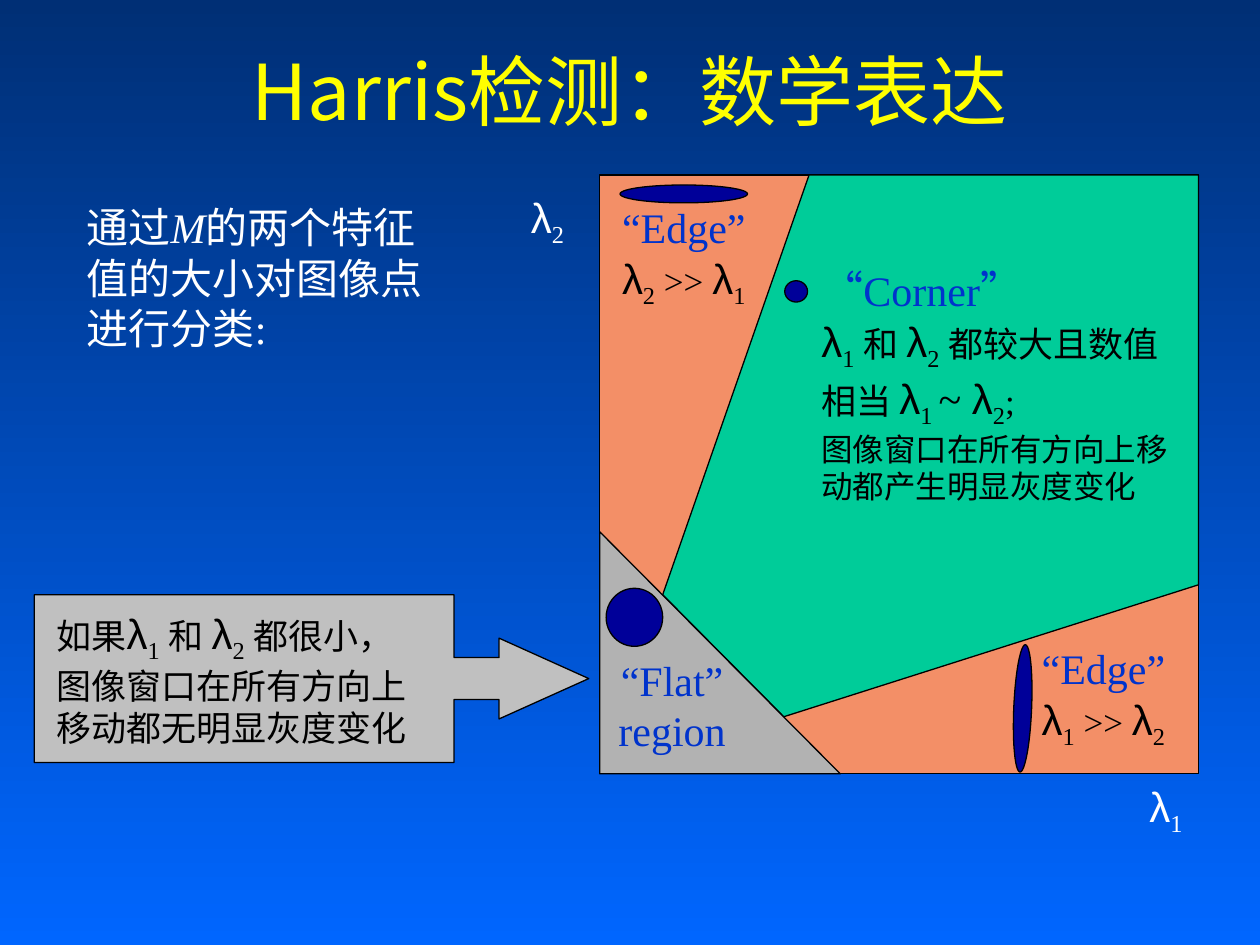
"""Build the slide on the Harris detector and its eigenvalue regions."""
from dataclasses import dataclass

from lxml import etree
from pptx import Presentation
from pptx.dml.color import RGBColor
from pptx.enum.shapes import MSO_SHAPE
from pptx.enum.text import MSO_ANCHOR, MSO_AUTO_SIZE, PP_ALIGN
from pptx.oxml.ns import qn
from pptx.util import Cm, Pt

RECT, OVAL = MSO_SHAPE.RECTANGLE, MSO_SHAPE.OVAL
TRIANGLE, CALLOUT = MSO_SHAPE.RIGHT_TRIANGLE, MSO_SHAPE.RIGHT_ARROW_CALLOUT
TOP, NO_FIT, GROW = MSO_ANCHOR.TOP, MSO_AUTO_SIZE.NONE, MSO_AUTO_SIZE.SHAPE_TO_FIT_TEXT
LEFT, CENTER = PP_ALIGN.LEFT, PP_ALIGN.CENTER


@dataclass(frozen=True)
class Theme:
    sky: tuple = ("002F75", "0066FF")
    yellow: str = "FFFF00"
    white: str = "FFFFFF"
    black: str = "000000"
    blue: str = "0033CC"
    navy: str = "000099"
    edge: str = "F38F67"
    corner: str = "00CC99"
    flat: str = "B2B2B2"
    callout: str = "C0C0C0"
    heading: str = "Noto Sans CJK SC"
    serif: str = "Times New Roman"
    sans: str = "Arial"
    title: int = 44
    large: int = 24
    medium: int = 20
    small: int = 18
    outline: float = 0.75


T = Theme()


def run(text, size=T.large, color=T.black, font=T.serif, **extra):
    return dict(text=text, size=size, color=color, font=font, **extra)


def eigenvalue(index, color=T.black):
    return [run("λ", color=color, font=T.sans), run(index, color=color, sub=True)]


def edge_label(big, small):
    return [run("“Edge” \n", color=T.blue), *eigenvalue(big),
            run(" >> ", T.medium), *eigenvalue(small)]


L1, L2 = eigenvalue("1"), eigenvalue("2")
BOTH = [*L1, run(" 和 ", T.medium), *L2]

TITLE = [run("Harris检测：数学表达", T.title, T.yellow, T.heading)]
TITLE_BOX = (1.27, 0.76, 22.86, 3.18)
PLOT = (12.09, 3.53, 12.07, 12.07)
CORNER_REGION = [(13.36, 11.99), (16.31, 3.53), (24.16, 3.53), (24.16, 11.79), (15.8, 14.45)]

REGIONS_BELOW = [
    (CALLOUT, (0.69, 11.99, 11.18, 3.38), T.callout, (0.25, 0.241, 0.535, 0.757)),
    (RECT, PLOT, T.edge, ()),
]
FLAT_REGION = (TRIANGLE, (12.09, 10.72, 4.85, 4.88), T.flat, ())

AXES = [
    ((22.45, 15.6, 2.11, 1.42), CENTER, 0, eigenvalue("1", T.white)),
    ((9.55, 3.73, 2.97, 1.42), CENTER, 0, eigenvalue("2", T.white)),
]
LABELS = [
    ((16.31, 5.21, 7.77, 5.11), LEFT, 0, [
        run("“Corner”\n", color=T.blue), *BOTH,
        run(" 都较大且数值相当 ", T.medium),
        run("λ", font=T.sans), run("1 ", sub=True), run("~ "), *L2,
        run(";\n", T.medium),
        run("图像窗口在所有方向上移动都产生明显灰度变化", T.small, font=T.sans)]),
    ((0.89, 12.12, 8, 3.96), LEFT, 0, [
        run("如果", T.medium), *BOTH,
        run(" 都很小，图像窗口在所有方向上移动都无明显灰度变化", T.medium)]),
    ((20.75, 12.83, 3.61, 2.44), LEFT, 0, edge_label("1", "2")),
    ((12.29, 3.94, 3.61, 2.44), LEFT, 0, edge_label("2", "1")),
    ((11.86, 13.06, 3.38, 2.29), CENTER, 0, [run("“Flat” region", color=T.blue)]),
    ((1.5, 3.94, 7.42, 3.3), LEFT, 15, [
        run("通过", color=T.white), run("M", color=T.white, italic=True),
        run("的两个特征值的大小对图像点进行分类:", color=T.white)]),
]
ELLIPSES = [
    ((15.82, 5.66, 0.46, 0.43), 0),
    ((12.5, 3.73, 2.57, 0.36), 0),
    ((12.22, 11.86, 1.14, 1.17), 0),
    ((19.33, 14.1, 2.57, 0.36), 92.4),
]


def lengths(box):
    return [Cm(v) for v in box]


def paint(sp, fill):
    sp.shadow.inherit = False
    sp.fill.solid()
    sp.fill.fore_color.rgb = RGBColor.from_string(fill)
    sp.line.color.rgb = RGBColor.from_string(T.black)
    sp.line.width = Pt(T.outline)


def add_shape(s, kind, box, fill, adjustments=(), rotation=0):
    sp = s.shapes.add_shape(kind, *lengths(box))
    for i, value in enumerate(adjustments):
        sp.adjustments[i] = value
    sp.rotation = rotation
    paint(sp, fill)


def add_region(s, points, fill):
    start, *rest = [lengths(point) for point in points]
    builder = s.shapes.build_freeform(*start)
    builder.add_line_segments(rest, close=True)
    paint(builder.convert_to_shape(), fill)


def write(p, runs):
    for item in runs:
        r = p.add_run()
        r.text = item["text"].rstrip("\n")
        r.font.size = Pt(item["size"])
        r.font.name = item["font"]
        r.font.color.rgb = RGBColor.from_string(item["color"])
        if item.get("italic"):
            r.font.italic = True
        rPr = r._r.get_or_add_rPr()
        if item.get("sub"):
            rPr.set("baseline", "-25000")
        if item["font"] == T.heading:
            etree.SubElement(rPr, qn("a:ea")).set("typeface", T.heading)
        if item["text"].endswith("\n"):
            p.add_line_break()


def add_text(s, box, align, before, runs):
    tf = s.shapes.add_textbox(*lengths(box)).text_frame
    tf.word_wrap = True
    tf.auto_size = GROW
    p = tf.paragraphs[0]
    p.alignment = align
    p.space_before = Pt(before)
    write(p, runs)


def add_title(s):
    sp = s.shapes.title
    sp.left, sp.top, sp.width, sp.height = lengths(TITLE_BOX)
    tf = sp.text_frame
    tf.vertical_anchor = TOP
    tf.auto_size = NO_FIT
    tf.paragraphs[0].alignment = CENTER
    write(tf.paragraphs[0], TITLE)


def main():
    prs = Presentation()
    prs.slide_width, prs.slide_height = Cm(25.4), Cm(19.05)
    s = prs.slides.add_slide(prs.slide_layouts[5])
    sky = s.background.fill
    sky.gradient()
    sky.gradient_angle = 270
    for stop, color in zip(sky.gradient_stops, T.sky):
        stop.color.rgb = RGBColor.from_string(color)

    add_title(s)
    for region in REGIONS_BELOW:
        add_shape(s, *region)
    for axis in AXES:
        add_text(s, *axis)
    add_region(s, CORNER_REGION, T.corner)
    add_shape(s, *FLAT_REGION)
    for label in LABELS:
        add_text(s, *label)
    for box, rotation in ELLIPSES:
        add_shape(s, OVAL, box, T.navy, rotation=rotation)
    prs.save("out.pptx")


if __name__ == "__main__":
    main()
